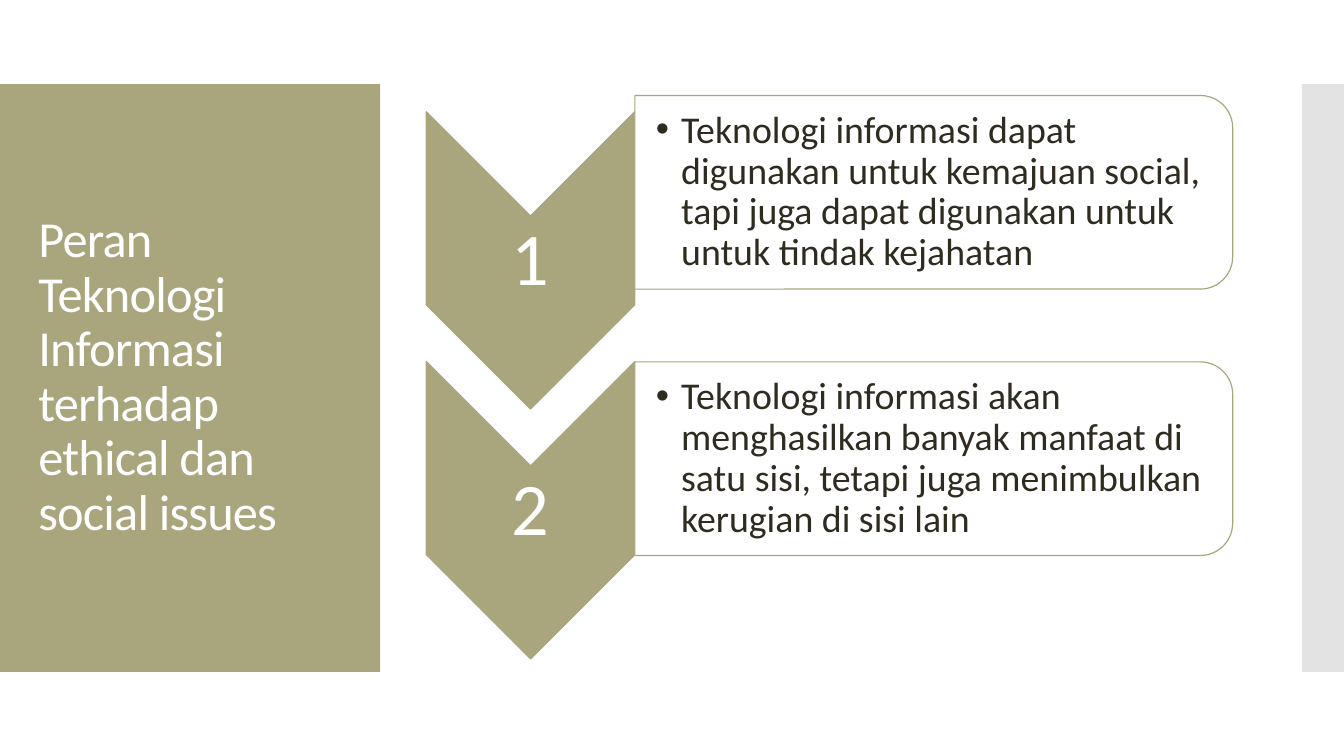
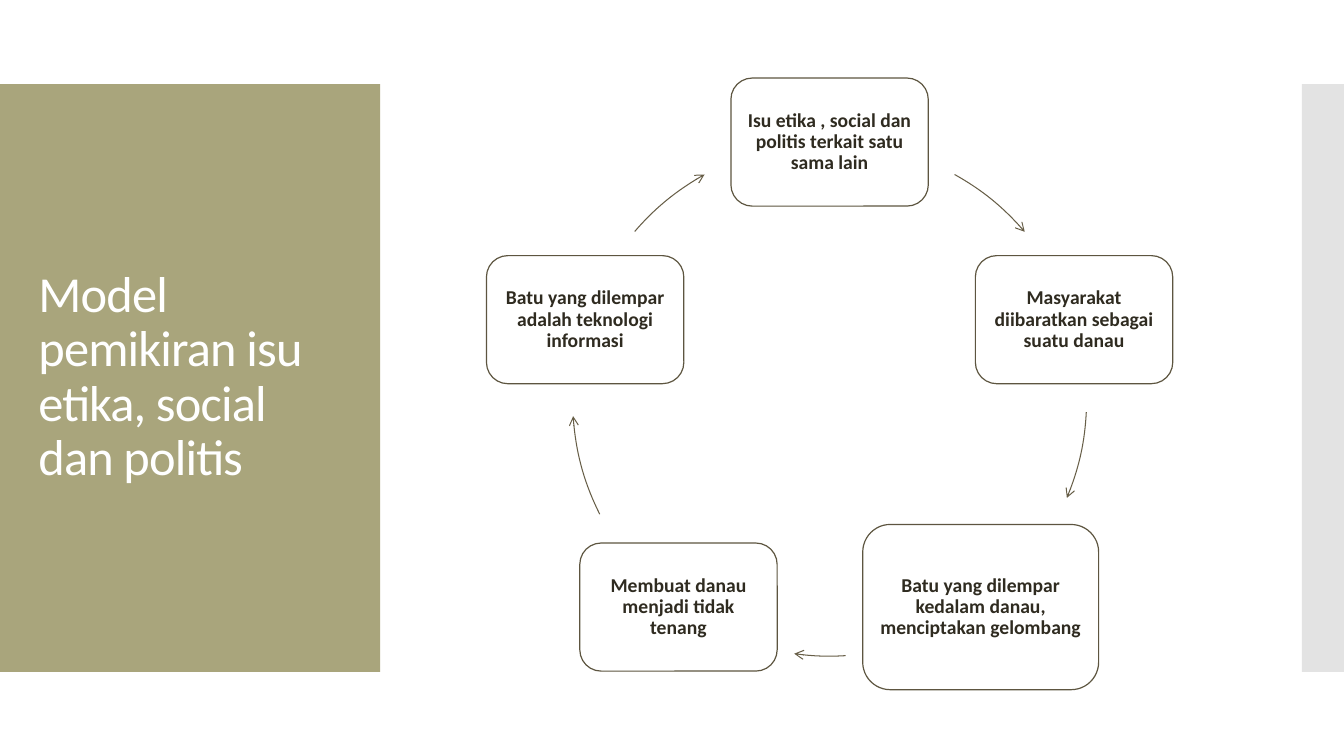
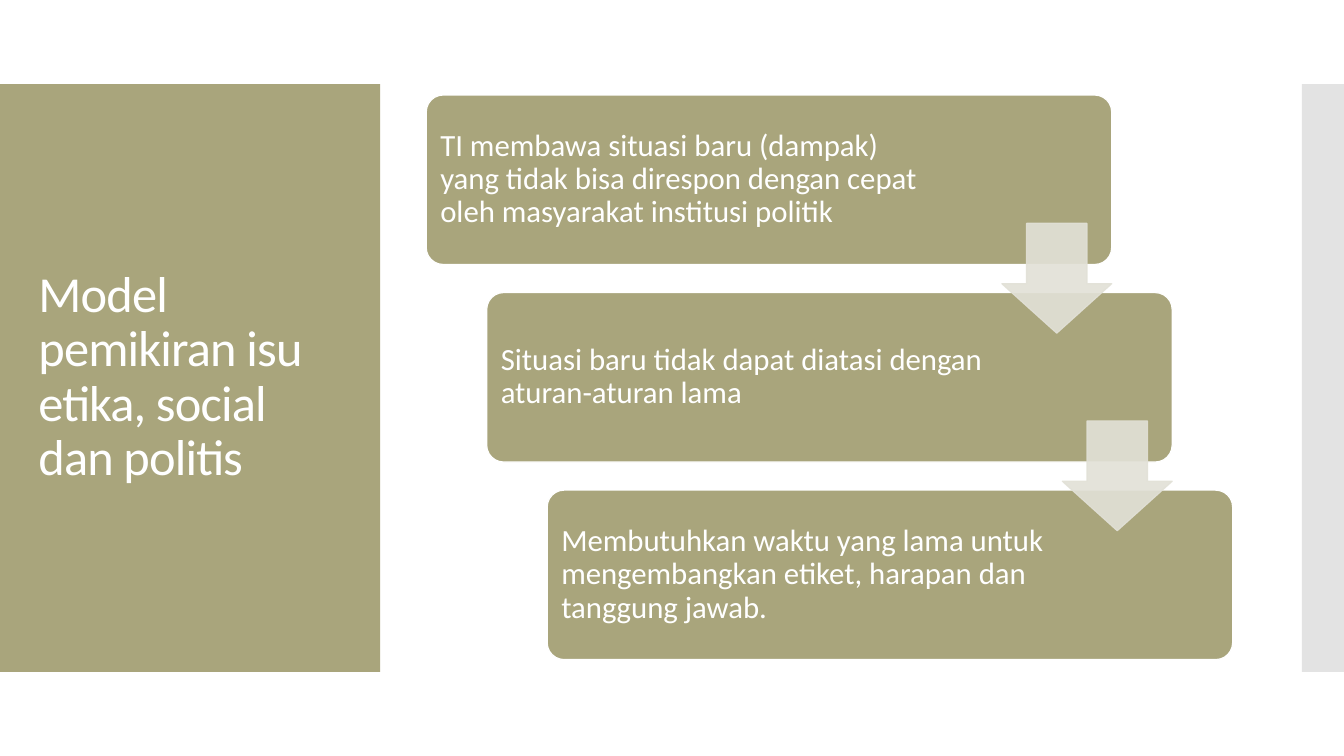
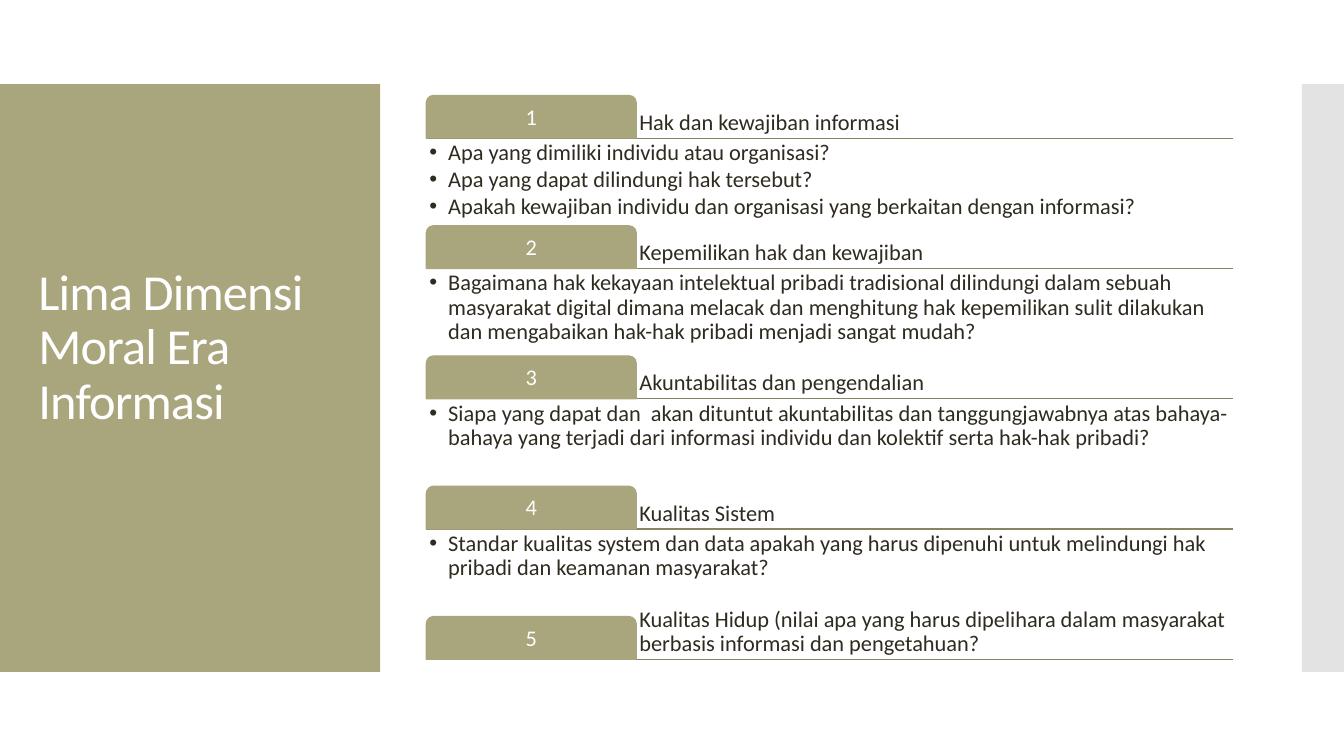
from math import cos, radians, sin

from lxml.etree import SubElement
from pptx import Presentation
from pptx.dml.color import RGBColor
from pptx.enum.shapes import MSO_CONNECTOR, MSO_SHAPE
from pptx.enum.text import MSO_ANCHOR, MSO_AUTO_SIZE, PP_ALIGN
from pptx.oxml.ns import qn
from pptx.util import Pt

COLORS = {
    "olive": "A9A57C",
    "pale_olive": "E2E1D7",
    "rule": "878463",
    "brown": "5D5540",
    "arrow": "675E47",
    "gray": "C8C8C8",
    "text": "2F2B20",
    "white": "FFFFFF",
}
FONT = "Calibri"
LINE_WIDTH = 0.85
CONTENT_LEFT, CONTENT_WIDTH = 304.5, 576
TITLE_BOX = (20.2, 88.6, 231.8, 362.2)
BANDS = [
    ((0, 60, 271.5, 420), "olive", 100),
    ((930, 60, 30, 420), "gray", 50),
]

ROLE_TITLE = "Peran Teknologi Informasi\vterhadap ethical dan social issues"
MODEL_TITLE = "Model pemikiran isu etika, social dan politis"
MORAL_TITLE = "Lima Dimensi Moral Era Informasi"

ROLES = [
    "Teknologi informasi dapat digunakan untuk kemajuan social, tapi juga dapat "
    "digunakan untuk untuk tindak kejahatan",
    "Teknologi informasi akan menghasilkan banyak manfaat di satu sisi, tetapi juga "
    "menimbulkan kerugian di sisi lain",
]

SMALL_NODE, LARGE_NODE = (141, 91.5), (168.5, 118)
CYCLE_NODES = [
    ("Isu etika , social dan politis terkait satu sama lain", SMALL_NODE),
    ("Masyarakat diibaratkan sebagai suatu danau", SMALL_NODE),
    ("Batu yang dilempar kedalam danau, menciptakan gelombang", LARGE_NODE),
    ("Membuat danau menjadi tidak tenang", SMALL_NODE),
    ("Batu yang dilempar adalah teknologi informasi", SMALL_NODE),
]
# Start and end of each arrow, in degrees clockwise from three o'clock
CYCLE_ARCS = [(299.1, 319.4), (2.9, 22.6), (86.4, 97.9), (153.4, 176.2), (220.7, 240.9)]

STEPS = [
    "TI membawa situasi baru (dampak) yang tidak bisa direspon dengan cepat oleh "
    "masyarakat institusi politik",
    "Situasi baru tidak dapat diatasi dengan aturan-aturan lama",
    "Membutuhkan waktu yang lama untuk mengembangkan etiket, harapan dan tanggung jawab.",
]

DIMENSIONS = [
    ("Hak dan kewajiban informasi", [
        "Apa yang dimiliki individu atau organisasi?",
        "Apa yang dapat dilindungi hak tersebut?",
        "Apakah kewajiban individu dan organisasi yang berkaitan dengan informasi?",
    ]),
    ("Kepemilikan hak dan kewajiban", [
        "Bagaimana hak kekayaan intelektual pribadi tradisional dilindungi dalam sebuah "
        "masyarakat digital dimana melacak dan menghitung hak kepemilikan sulit dilakukan "
        "dan mengabaikan hak-hak pribadi menjadi sangat mudah?",
    ]),
    ("Akuntabilitas dan pengendalian", [
        "Siapa yang dapat dan  akan dituntut akuntabilitas dan tanggungjawabnya atas "
        "bahaya-bahaya yang terjadi dari informasi individu dan kolektif serta hak-hak pribadi?",
    ]),
    ("Kualitas Sistem", [
        "Standar kualitas system dan data apakah yang harus dipenuhi untuk melindungi hak "
        "pribadi dan keamanan masyarakat?",
    ]),
    ("Kualitas Hidup (nilai apa yang harus dipelihara dalam masyarakat berbasis informasi "
     "dan pengetahuan?", []),
]


def rgb(name):
    return RGBColor.from_string(COLORS[name])


def set_attributes(target, values):
    for name, value in values.items():
        setattr(target, name, value)


def place(shape, box):
    set_attributes(shape, dict(zip(("left", "top", "width", "height"), map(Pt, box))))


def set_opacity(fill_parent, percent):
    """Add an alpha to the solid fill inside a shape's or a line's properties."""
    color = fill_parent.find(qn("a:solidFill"))[0]
    SubElement(color, qn("a:alpha")).set("val", str(percent * 1000))


def add_bullet(paragraph, indent):
    properties = paragraph._p.get_or_add_pPr()
    properties.set("marL", str(Pt(indent)))
    properties.set("indent", str(-Pt(indent)))
    SubElement(properties, qn("a:buFont")).set("typeface", "Arial")
    SubElement(properties, qn("a:buChar")).set("char", "•")


def write_text(shape, texts, size, color="text", bold=False, align=PP_ALIGN.LEFT,
               anchor=MSO_ANCHOR.MIDDLE, insets=(2.2, 2.2, 2.2, 2.2), bullet_indent=0):
    """Write one paragraph per text; insets run left, top, right, bottom."""
    frame = shape.text_frame
    left, top, right, bottom = map(Pt, insets)
    set_attributes(frame, {
        "word_wrap": True, "auto_size": MSO_AUTO_SIZE.NONE, "vertical_anchor": anchor,
        "margin_left": left, "margin_top": top, "margin_right": right, "margin_bottom": bottom,
    })
    for index, text in enumerate(texts):
        paragraph = frame.add_paragraph() if index else frame.paragraphs[0]
        paragraph.text = text
        set_attributes(paragraph, {
            "alignment": align, "line_spacing": 0.9,
            "space_before": Pt(0), "space_after": Pt(2 if bullet_indent else 0),
        })
        if bullet_indent:
            add_bullet(paragraph, bullet_indent)
        for run in paragraph.runs:
            set_attributes(run.font, {"name": FONT, "size": Pt(size), "bold": bold})
            run.font.color.rgb = rgb(color)


def add_text(slide, box, texts, size, **options):
    write_text(slide.shapes.add_textbox(*map(Pt, box)), texts, size, **options)


def add_box(slide, kind, box, fill=None, line=None, adjustments=(), opacity=100, turned=False):
    """Add a preset shape; a turned one is rotated a quarter and still fills the box."""
    left, top, width, height = box
    if turned:
        shift = (width - height) / 2
        box = (left + shift, top - shift, height, width)
    shape = slide.shapes.add_shape(kind, *map(Pt, box))
    shape.rotation = 90 if turned else 0
    shape.shadow.inherit = False
    for index, value in enumerate(adjustments):
        shape.adjustments[index] = value
    if fill:
        shape.fill.solid()
        shape.fill.fore_color.rgb = rgb(fill)
    else:
        shape.fill.background()
    if line:
        shape.line.color.rgb = rgb(line)
        shape.line.width = Pt(LINE_WIDTH)
    else:
        shape.line.fill.background()
    if opacity < 100:
        set_opacity(shape._element.spPr, opacity)
        if line:
            set_opacity(shape.line._get_or_add_ln(), opacity)
    return shape


def add_rule(slide, left, top, width):
    rule = slide.shapes.add_connector(
        MSO_CONNECTOR.STRAIGHT, *map(Pt, (left, top, left + width, top)))
    rule.line.color.rgb = rgb("rule")
    rule.line.width = Pt(LINE_WIDTH)
    SubElement(rule._element.spPr, qn("a:effectLst"))


def add_titled_slide(presentation, title, bottom_inset=3.6):
    slide = presentation.slides.add_slide(presentation.slide_layouts[5])
    place(slide.shapes.title, TITLE_BOX)
    write_text(slide.shapes.title, [title], 36, color="white",
               insets=(7.2, 3.6, 7.2, bottom_inset))
    for run in slide.shapes.title.text_frame.paragraphs[0].runs:
        run._r.get_or_add_rPr().set("spc", "-60")
    return slide


def move_bands_to_layout(slide):
    """Draw the side bands once, on the layout that every slide uses."""
    for box, fill, opacity in BANDS:
        band = add_box(slide, MSO_SHAPE.RECTANGLE, box, fill, opacity=opacity)
        slide.slide_layout.shapes._spTree.append(band._element)


def draw_roles(slide):
    chevron_width, chevron_height, chevron_pitch = 149, 212.4, 178.5
    panel_left, panel_width, panel_height, panel_pitch = 453.5, 427, 138.3, 190.3
    for index, role in enumerate(ROLES):
        top = 79.8 + index * chevron_pitch
        add_box(slide, MSO_SHAPE.CHEVRON, (CONTENT_LEFT, top, chevron_width, chevron_height),
                "olive", "olive", turned=True)
        add_text(slide, (CONTENT_LEFT, top + 75, chevron_width, 64), [str(index + 1)], 53,
                 color="white", align=PP_ALIGN.CENTER)
        top = 68.2 + index * panel_pitch
        add_box(slide, MSO_SHAPE.ROUND_2_SAME_RECTANGLE,
                (panel_left, top, panel_width, panel_height), "white", "olive", turned=True)
        add_text(slide, (panel_left, top + 6.8, 420.5, 124.6), [role], 27,
                 insets=(15.1, 1.4, 1.4, 1.4), bullet_indent=18)


def draw_cycle(slide):
    center_x, center_y, radius = 592.6, 285.1, 183.6
    circle = (center_x - radius, center_y - radius, 2 * radius, 2 * radius)
    for index, (text, (width, height)) in enumerate(CYCLE_NODES):
        angle = radians(-90 + index * 360 / len(CYCLE_NODES))
        left = center_x + radius * cos(angle) - width / 2
        top = center_y + radius * sin(angle) - height / 2
        node = add_box(slide, MSO_SHAPE.ROUNDED_RECTANGLE, (left, top, width, height),
                       "white", "brown")
        write_text(node, [text], 14, bold=True, align=PP_ALIGN.CENTER,
                   insets=(4.3, 4.3, 4.3, 4.3))
    for angles in CYCLE_ARCS:
        # Adjustments count in units of 100000, angles in 60000ths of a degree
        arc = add_box(slide, MSO_SHAPE.ARC, circle, line="arrow",
                      adjustments=[angle * 0.6 for angle in angles])
        arc.line.width = Pt(0.75)
        SubElement(arc.line._get_or_add_ln(), qn("a:tailEnd")).set("type", "arrow")


def draw_steps(slide):
    step_x, step_y = 43.2, 141.1
    for index, step in enumerate(STEPS):
        box = (CONTENT_LEFT + index * step_x, 67.9 + index * step_y, 489.6, 121)
        panel = add_box(slide, MSO_SHAPE.ROUNDED_RECTANGLE, box, "olive", "white", [0.1])
        write_text(panel, [step], 22, color="white", insets=(6.5, 6.5, 129, 6.5))
    for index in range(len(STEPS) - 1):
        box = (715.6 + index * step_x, 159.5 + index * step_y, 78.5, 78.5)
        add_box(slide, MSO_SHAPE.DOWN_ARROW, box, "pale_olive", "pale_olive", [0.55, 0.45],
                opacity=90)


def draw_dimensions(slide):
    tab_width, tab_height, pitch = 150, 30.5, 93.05
    for index, (heading, questions) in enumerate(DIMENSIONS):
        top = 68.2 + index * pitch
        bottom = top + tab_height
        add_rule(slide, CONTENT_LEFT, bottom, CONTENT_WIDTH)
        add_text(slide, (CONTENT_LEFT + tab_width, top, CONTENT_WIDTH - tab_width, tab_height),
                 [heading], 16, anchor=MSO_ANCHOR.BOTTOM)
        tab = add_box(slide, MSO_SHAPE.ROUND_2_SAME_RECTANGLE,
                      (CONTENT_LEFT, top, tab_width, tab_height), "olive", "olive", [0.17, 0])
        write_text(tab, [str(index + 1)], 16, color="white", align=PP_ALIGN.CENTER)
        if questions:
            add_text(slide, (CONTENT_LEFT, bottom, CONTENT_WIDTH, 61), questions, 16,
                     anchor=MSO_ANCHOR.TOP, bullet_indent=13.5)


def main():
    presentation = Presentation()
    presentation.slide_width, presentation.slide_height = Pt(960), Pt(540)
    roles_slide = add_titled_slide(presentation, ROLE_TITLE)
    move_bands_to_layout(roles_slide)
    draw_roles(roles_slide)
    draw_cycle(add_titled_slide(presentation, MODEL_TITLE))
    draw_steps(add_titled_slide(presentation, MODEL_TITLE))
    draw_dimensions(add_titled_slide(presentation, MORAL_TITLE, bottom_inset=45))
    presentation.save("out.pptx")


if __name__ == "__main__":
    main()
